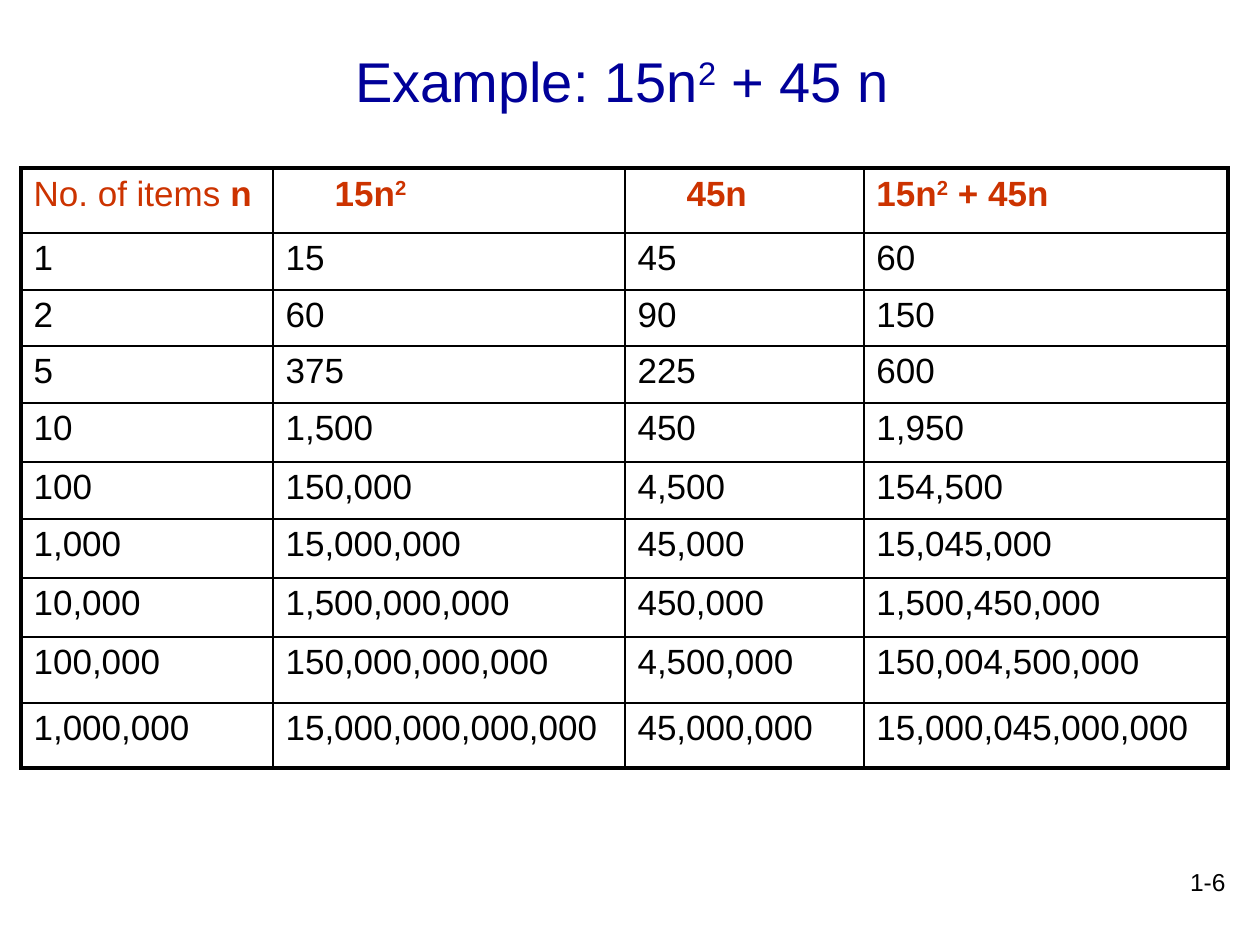
from dataclasses import dataclass

from lxml.etree import SubElement as Sub
from pptx import Presentation
from pptx.dml.color import RGBColor as RGB
from pptx.enum.text import MSO_ANCHOR as Anchor, PP_ALIGN as Align
from pptx.oxml.ns import qn
from pptx.util import Emu, Pt


@dataclass(frozen=True)
class Theme:
    font: str = "Arial"
    title: str = "000099"
    head: str = "CC3300"
    ink: str = "000000"
    title_size: int = 32
    cell_size: int = 20
    page_size: int = 14
    thin: float = 1
    thick: float = 2.25


THEME = Theme()
COLS = [252, 352, 239, 364]
ROWS = [65, 57, 56, 57, 59, 57, 59, 59, 66, 65]
ITEMS = [1, 2, 5, 10, 100, 1_000, 10_000, 100_000, 1_000_000]
# Each heading: its runs as (text, format) and its left indent.
HEADS = [
    ([("No. of items ", {}), ("n", {"bold": True})], 0),
    ([("15n", {"bold": True}), ("2", {"bold": True, "sup": True})], 49),
    ([("45n", {"bold": True})], 49),
    ([("15n", {"bold": True}), ("2", {"bold": True, "sup": True}),
      (" + 45n", {"bold": True})], 0),
]


def px(n):
    return Emu(round(n * 914400 / 126))


def write(frame, runs, size, color, align=Align.LEFT, indent=0):
    """Fill the first paragraph with runs of (text, format)."""
    frame.word_wrap = True
    para = frame.paragraphs[0]
    para.alignment = align
    if indent:
        para._p.get_or_add_pPr().set("marL", str(px(indent)))
    for text, form in runs:
        run = para.add_run()
        run.text = text
        font = run.font
        font.name, font.size = THEME.font, Pt(size)
        font.bold = form.get("bold", False)
        font.color.rgb = RGB.from_string(color)
        if form.get("sup"):
            run._r.get_or_add_rPr().set("baseline", "30000")


def border(cell, **widths):
    """Draw the cell's edges; each keyword is a side, L, R, T or B."""
    props = cell._tc.get_or_add_tcPr()
    for side, width in widths.items():
        line = Sub(props, qn(f"a:ln{side}"), w=str(Pt(width)))
        fill = Sub(line, qn("a:solidFill"))
        Sub(fill, qn("a:srgbClr"), val=THEME.ink)


def add_title(slide, x, y, w, h):
    title = slide.shapes.title
    title.left, title.top, title.width, title.height = map(px, (x, y, w, h))
    title.text_frame.vertical_anchor = Anchor.MIDDLE
    runs = [("Example: 15n", {}), ("2", {"sup": True}), (" + 45 n ", {})]
    write(title.text_frame, runs, THEME.title_size, THEME.title, Align.CENTER)


def add_grid(slide, x, y):
    box = map(px, (x, y, sum(COLS), sum(ROWS)))
    table = slide.shapes.add_table(len(ROWS), len(COLS), *box).table
    table.first_row = table.horz_banding = False
    for col, width in zip(table.columns, COLS):
        col.width = px(width)
    for row, height in zip(table.rows, ROWS):
        row.height = px(height)

    for c, (runs, indent) in enumerate(HEADS):
        write(table.cell(0, c).text_frame, runs, THEME.cell_size,
              THEME.head, indent=indent)
    for r, n in enumerate(ITEMS, 1):
        square, linear = 15 * n * n, 45 * n
        for c, value in enumerate((n, square, linear, square + linear)):
            write(table.cell(r, c).text_frame, [(f"{value:,}", {})],
                  THEME.cell_size, THEME.ink)

    def edge(outer):
        return THEME.thick if outer else THEME.thin

    for r in range(len(ROWS)):
        for c in range(len(COLS)):
            cell = table.cell(r, c)
            border(cell, L=edge(c == 0), R=edge(c == len(COLS) - 1),
                   T=edge(r == 0), B=edge(r == len(ROWS) - 1))
            cell.fill.background()


def add_page(slide, x, y, w, h):
    box = slide.shapes.add_textbox(*map(px, (x, y, w, h)))
    write(box.text_frame, [("1-6", {})], THEME.page_size, THEME.ink,
          Align.RIGHT)


def main():
    deck = Presentation()
    deck.slide_width, deck.slide_height = px(1260), px(945)
    slide = deck.slides.add_slide(deck.slide_layouts[5])
    add_page(slide, 976, 861, 262, 63)
    add_grid(slide, 21, 168)
    add_title(slide, 94, 22, 1072, 116)
    deck.save("out.pptx")


if __name__ == "__main__":
    main()
